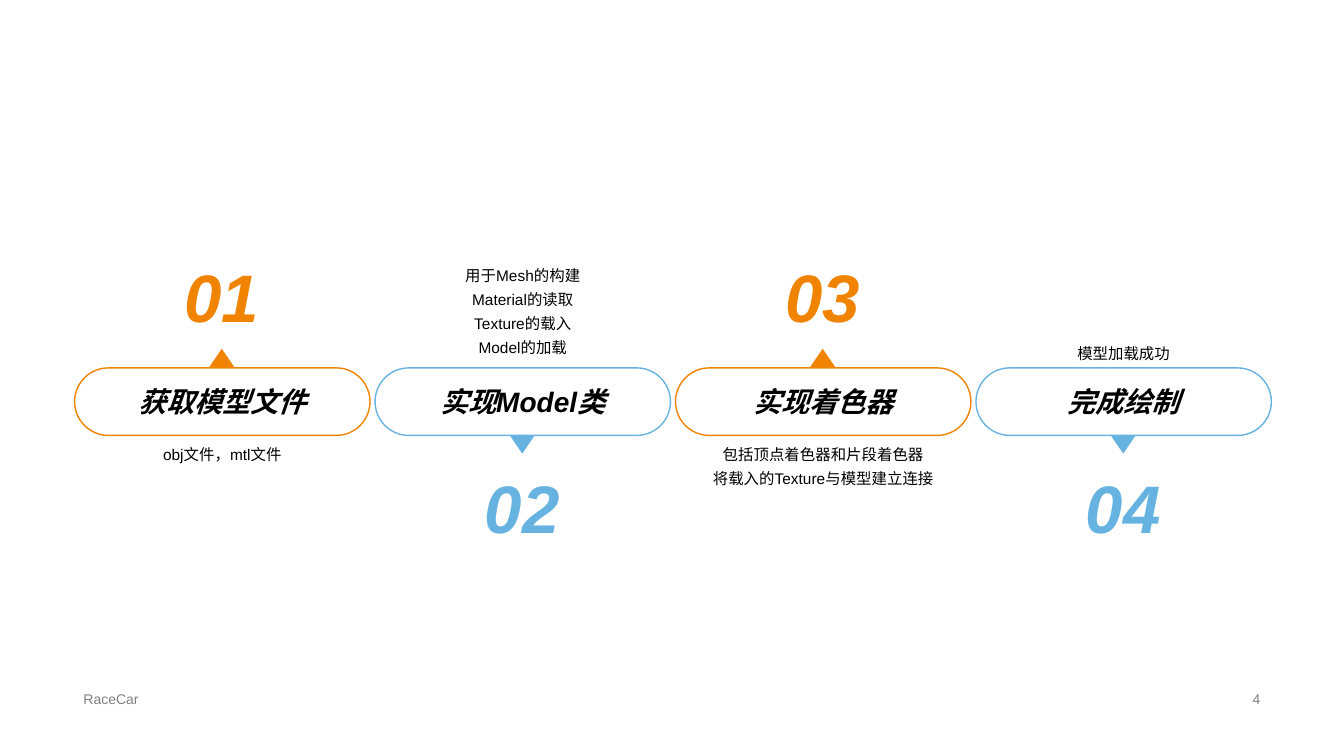
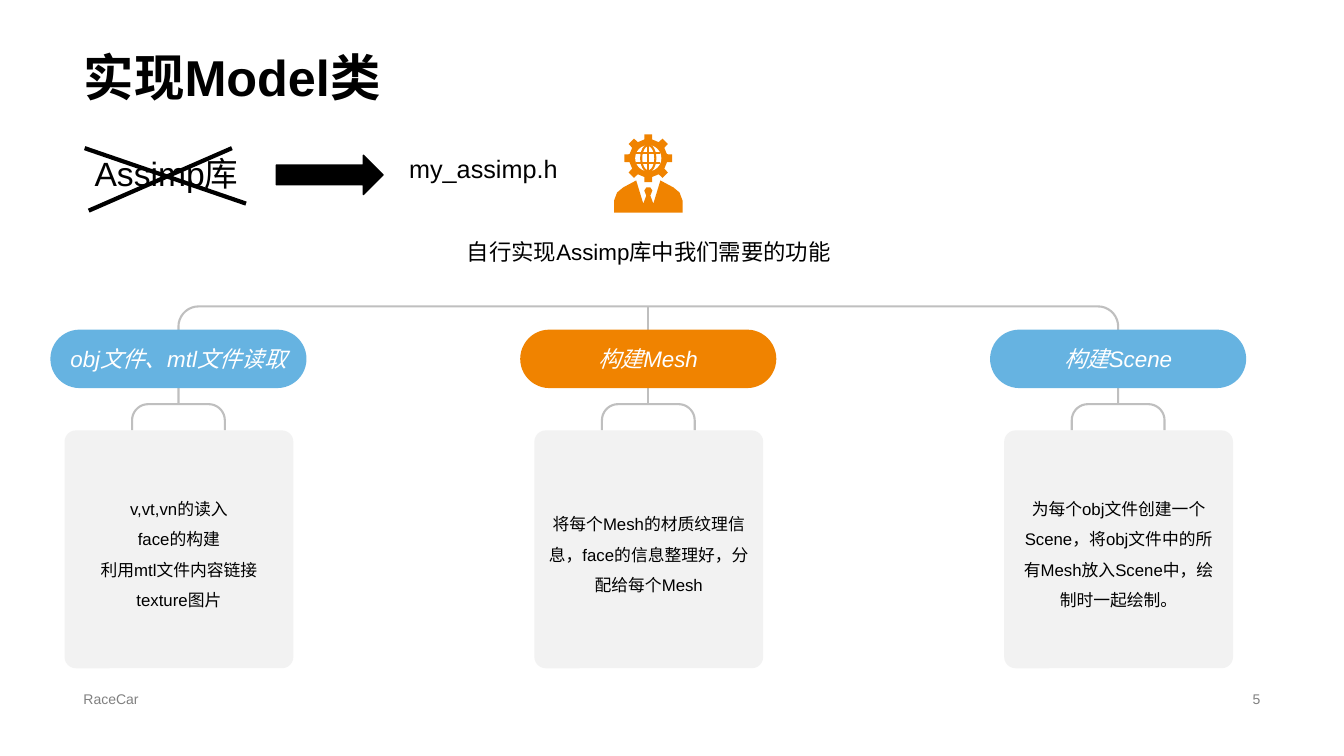
"""Build the two slides on loading a model and writing its class."""
from math import cos, radians, sin

from lxml import etree
from pptx import Presentation
from pptx.dml.color import RGBColor
from pptx.enum.shapes import MSO_CONNECTOR, MSO_SHAPE
from pptx.enum.text import MSO_ANCHOR, MSO_AUTO_SIZE, PP_ALIGN
from pptx.oxml.ns import qn
from pptx.util import Inches, Pt

LEFT, CENTER, RIGHT = PP_ALIGN.LEFT, PP_ALIGN.CENTER, PP_ALIGN.RIGHT
TOP, MIDDLE, BOTTOM = MSO_ANCHOR.TOP, MSO_ANCHOR.MIDDLE, MSO_ANCHOR.BOTTOM
FIXED = MSO_AUTO_SIZE.NONE
ROUND, OVAL = MSO_SHAPE.ROUNDED_RECTANGLE, MSO_SHAPE.OVAL
WEDGE, ARROW = MSO_SHAPE.ISOSCELES_TRIANGLE, MSO_SHAPE.RIGHT_ARROW
STRAIGHT = MSO_CONNECTOR.STRAIGHT
TITLED, BLANK = 5, 6
FONT = "Arial"
COLORS = {
    "black": "000000",
    "white": "FFFFFF",
    "orange": "F08300",
    "blue": "66B3E1",
    "gray": "808080",
    "rule": "BFBFBF",
    "card": "F2F2F2",
}


def color(name):
    return RGBColor.from_string(COLORS[name])


def write(frame, text, size=12, ink="black", bold=False, italic=False,
          align=LEFT, anchor=TOP, space=1.0):
    frame.word_wrap = True
    frame.auto_size = FIXED
    frame.vertical_anchor = anchor
    frame.text = text
    for para in frame.paragraphs:
        para.alignment = align
        para.line_spacing = space
        para.space_before = Pt(0)
        font = para.font
        font.name, font.size = FONT, Pt(size)
        font.bold, font.italic = bold, italic
        font.color.rgb = color(ink)


def arc(x, y, radius, start):
    angles = [radians(start + step * 10) for step in range(10)]
    return [(x + radius * cos(a), y + radius * sin(a)) for a in angles]


class Deck:
    def __init__(self):
        self.show = Presentation()
        self.show.slide_width = Inches(13.33)
        self.show.slide_height = Inches(7.5)
        self.slide = None

    def page(self, number, title=None):
        layout = self.show.slide_layouts[TITLED if title else BLANK]
        self.slide = self.show.slides.add_slide(layout)
        if title:
            head = self.slide.shapes.title
            head.left, head.top = Inches(0.73), Inches(0)
            head.width, head.height = Inches(11.87), Inches(1.12)
            write(head.text_frame, title, size=36, bold=True,
                  anchor=BOTTOM, space=0.9)
        foot = {"size": 10, "ink": "gray", "anchor": MIDDLE}
        self.text((0.73, 6.82, 4.53, 0.23), "RaceCar", **foot)
        self.text((9.42, 6.82, 3.18, 0.23), str(number), align=RIGHT, **foot)

    def text(self, box, words, **style):
        item = self.slide.shapes.add_textbox(*map(Inches, box))
        write(item.text_frame, words, **style)

    def paint(self, item, fill, line, width):
        item.shadow.inherit = False
        if fill:
            item.fill.solid()
            item.fill.fore_color.rgb = color(fill)
        else:
            item.fill.background()
        if line:
            item.line.color.rgb = color(line)
            item.line.width = Pt(width)
        else:
            item.line.fill.background()

    def shape(self, kind, box, fill=None, line=None, width=1, adjust=None,
              turn=0, words=None, **style):
        item = self.slide.shapes.add_shape(kind, *map(Inches, box))
        self.paint(item, fill, line, width)
        item.rotation = turn
        if adjust is not None:
            item.adjustments[0] = adjust
        if words:
            write(item.text_frame, words, align=CENTER, anchor=MIDDLE, **style)

    def line(self, start, end, ink, width):
        ends = map(Inches, (*start, *end))
        item = self.slide.shapes.add_connector(STRAIGHT, *ends)
        item.line.color.rgb = color(ink)
        item.line.width = Pt(width)
        etree.SubElement(item._element.spPr, qn("a:effectLst"))

    def free(self, points, fill=None, line=None, width=1):
        dots = [(Inches(x), Inches(y)) for x, y in points]
        pen = self.slide.shapes.build_freeform(*dots[0])
        pen.add_line_segments(dots[1:], close=bool(fill))
        self.paint(pen.convert_to_shape(), fill, line, width)

    def bend(self, left, right, top, foot, radius):
        points = [(left, foot)]
        points += arc(left + radius, top + radius, radius, 180)
        points += arc(right - radius, top + radius, radius, 270)
        self.free(points + [(right, foot)], line="rule", width=1.5)

    def icon(self, x, y):
        gear = []
        for tooth in range(0, 360, 45):
            for turn, reach in ((-12, 0.19), (-9, 0.24), (9, 0.24), (12, 0.19)):
                angle = radians(tooth + turn)
                gear.append((x + reach * cos(angle), y + reach * sin(angle)))
        self.free(gear, fill="orange")
        self.shape(OVAL, (x - 0.13, y - 0.13, 0.26, 0.26), fill="white")
        self.shape(OVAL, (x - 0.07, y - 0.13, 0.14, 0.26),
                   line="orange", width=1.5)
        self.line((x, y - 0.13), (x, y + 0.13), "orange", 1.5)
        for drop in (-0.05, 0.05):
            self.line((x - 0.12, y + drop), (x + 0.12, y + drop), "orange", 1.5)
        half = [(0.02, 0.29), (0.04, 0.32), (0.02, 0.37), (0.05, 0.45),
                (0.12, 0.22), (0.25, 0.29), (0.31, 0.34), (0.34, 0.42),
                (0.34, 0.54)]
        suit = [(x + across, y + down) for across, down in half]
        suit += [(x - across, y + down) for across, down in reversed(half)]
        self.free(suit, fill="orange")


def steps(deck):
    deck.page(4)
    items = [
        ("获取模型文件", "obj文件，mtl文件", 4.31),
        ("实现Model类",
         "用于Mesh的构建\nMaterial的读取\nTexture的载入\nModel的加载", 2.54),
        ("实现着色器",
         "包括顶点着色器和片段着色器\n将载入的Texture与模型建立连接", 4.31),
        ("完成绘制", "模型加载成功", 3.31),
    ]
    for index, (name, note, top) in enumerate(items):
        left = 0.74 + 2.98 * index
        mid = left + 1.46
        down = index % 2 == 1
        ink = "blue" if down else "orange"
        deck.shape(WEDGE, (mid - 0.13, 4.31 if down else 3.46, 0.26, 0.19),
                   fill=ink, turn=180 if down else 0)
        deck.shape(ROUND, (left, 3.65, 2.93, 0.67), fill="white", line=ink,
                   adjust=0.5, words=name, size=20, bold=True, italic=True)
        deck.text((left, top, 2.93, 1.04 if top < 3 else 0.6), note,
                  size=11, align=CENTER, space=1.3)
        deck.text((mid - 0.48, 4.57 if down else 2.48, 0.96, 0.91),
                  f"{index + 1:02}", size=48, ink=ink, bold=True, italic=True,
                  align=CENTER, anchor=MIDDLE)


def model(deck):
    deck.page(5, "实现Model类")
    deck.text((0.84, 1.47, 2.93, 0.5), "Assimp库", size=24)
    deck.line((0.84, 1.47), (2.44, 2.02), "black", 3)
    deck.line((0.88, 2.09), (2.3, 1.47), "black", 3)
    deck.shape(ARROW, (2.74, 1.54, 1.06, 0.39), fill="black", line="black")
    deck.text((3.96, 1.47, 1.78, 0.4), "my_assimp.h", size=18)
    deck.icon(6.43, 1.57)
    deck.text((4.37, 2.14, 4.13, 0.65), "自行实现Assimp库中我们需要的功能",
              size=16, align=CENTER, anchor=MIDDLE, space=1.2)
    first, gap = 1.77, 4.66
    deck.bend(first, first + 2 * gap, 3.04, 4.01, 0.2)
    deck.line((first + gap, 3.04), (first + gap, 4.01), "rule", 1.5)
    parts = [
        ("obj文件、mtl文件读取", "blue",
         "v,vt,vn的读入\nface的构建\n利用mtl文件内容链接texture图片"),
        ("构建Mesh", "orange",
         "将每个Mesh的材质纹理信息，face的信息整理好，分配给每个Mesh"),
        ("构建Scene", "blue",
         "为每个obj文件创建一个Scene，将obj文件中的所有Mesh放入Scene中，"
         "绘制时一起绘制。"),
    ]
    for index, (name, ink, note) in enumerate(parts):
        mid = first + gap * index
        deck.bend(mid - 0.46, mid + 0.46, 4.01, 4.27, 0.16)
        deck.shape(ROUND, (mid - 1.27, 3.27, 2.54, 0.58), fill=ink, adjust=0.5,
                   words=name, size=16, ink="white", italic=True)
        deck.shape(ROUND, (mid - 1.13, 4.27, 2.27, 2.36), fill="card",
                   adjust=0.05, words=note, size=12, space=1.5)


def main():
    deck = Deck()
    steps(deck)
    model(deck)
    deck.show.save("out.pptx")


if __name__ == "__main__":
    main()
